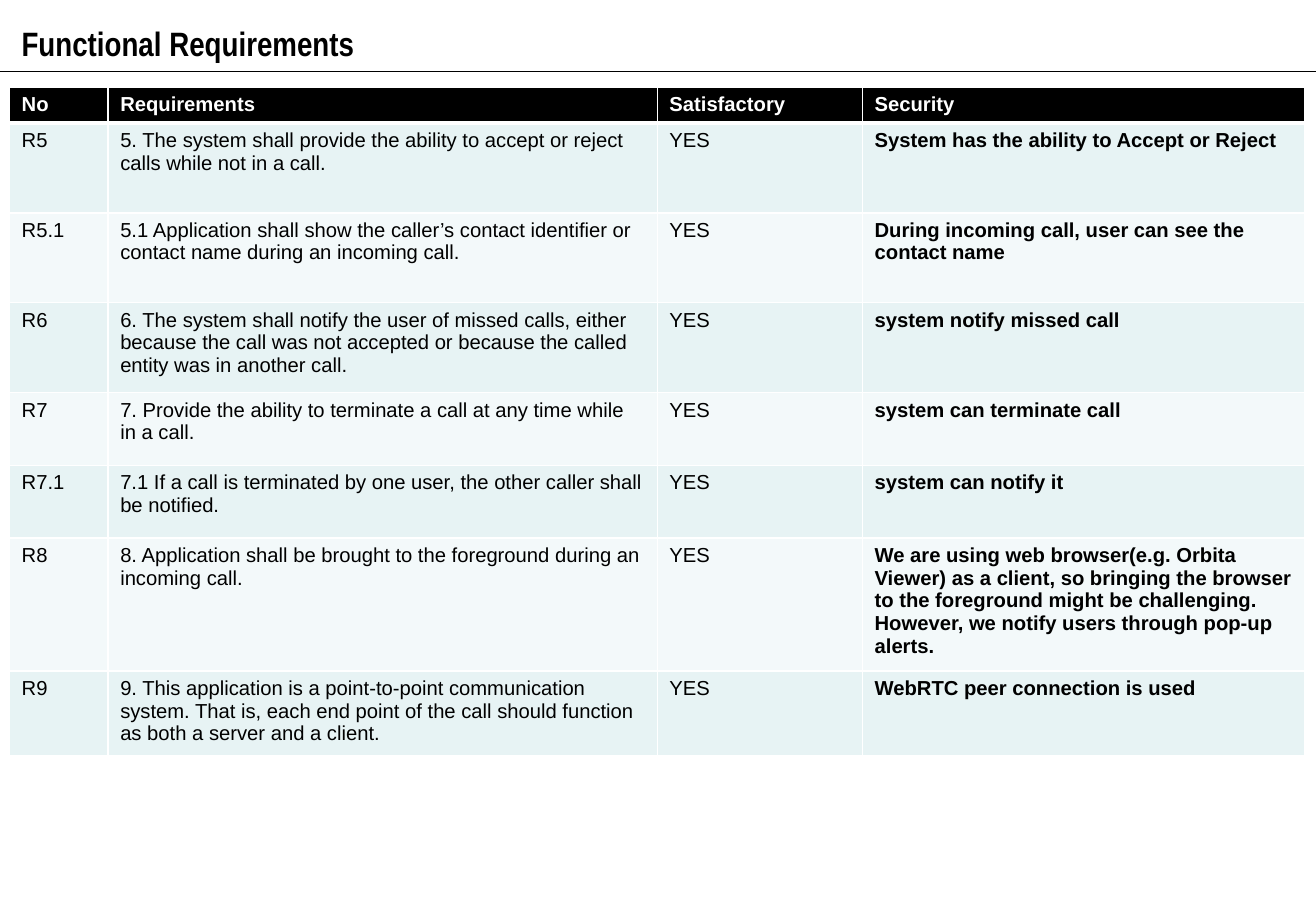
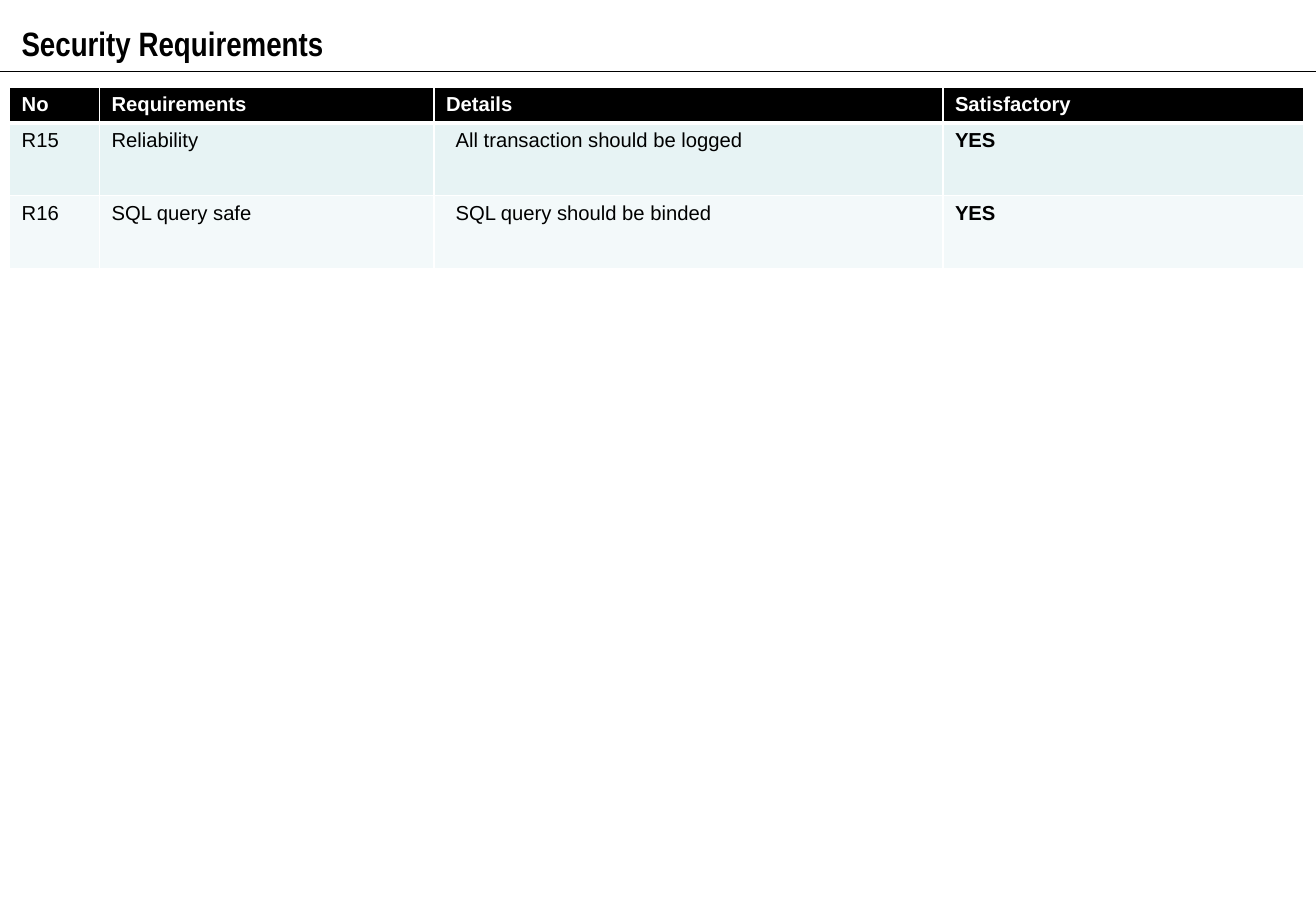
from lxml import etree
from pptx import Presentation
from pptx import util as u
from pptx.dml.color import RGBColor
from pptx.enum import shapes, text
from pptx.oxml import ns

BLACK = RGBColor(0x00, 0x00, 0x00)
WHITE = RGBColor(0xFF, 0xFF, 0xFF)
MINT = RGBColor(0xE7, 0xF3, 0xF4)
PALE = RGBColor(0xF3, 0xF9, 0xFA)

SLIDE_WIDTH, SLIDE_HEIGHT = u.Cm(27.51), u.Cm(19.05)
LEFT = u.Cm(0.2)
TITLE_ONLY = 5
HEADER_HEIGHT = 0.74

TITLE_FONT = dict(name="Arial Narrow", size=u.Pt(20), bold=True)
CELL_FONT = dict(name="Arial", size=u.Pt(12))
TITLE_FRAME = dict(
    margin_left=u.Cm(0.25), margin_right=u.Cm(0.25),
    margin_top=u.Cm(0.13), margin_bottom=u.Cm(0.13),
    vertical_anchor=text.MSO_ANCHOR.TOP, word_wrap=True,
    auto_size=text.MSO_AUTO_SIZE.NONE,
)


def apply(target, values):
    for name, value in values.items():
        setattr(target, name, value)


class Deck:
    """Holds the shared style and the slide being built."""

    def __init__(self):
        self.prs = Presentation()
        apply(self.prs, dict(slide_width=SLIDE_WIDTH, slide_height=SLIDE_HEIGHT))
        self.slide = None

    def new_slide(self, heading):
        self.slide = self.prs.slides.add_slide(self.prs.slide_layouts[TITLE_ONLY])
        self.rule()
        self.title(heading)

    def rule(self):
        y = u.Cm(1.5)
        rule = self.slide.shapes.add_connector(
            shapes.MSO_CONNECTOR.STRAIGHT, 0, y, SLIDE_WIDTH, y)
        rule.line.color.rgb = BLACK
        rule.line.width = u.Pt(0.75)
        etree.SubElement(rule._element.spPr, ns.qn("a:effectLst"))

    def title(self, heading):
        title = self.slide.shapes.title
        apply(title, dict(left=LEFT, top=u.Cm(0.18),
                          width=u.Cm(19.84), height=u.Cm(1.19)))
        apply(title.text_frame, TITLE_FRAME)
        paragraph = title.text_frame.paragraphs[0]
        apply(paragraph, dict(alignment=text.PP_ALIGN.LEFT, line_spacing=1.2))
        self.run(paragraph, heading, BLACK, TITLE_FONT)

    def run(self, paragraph, wording, color, font):
        run = paragraph.add_run()
        run.text = wording
        apply(run.font, font)
        run.font.color.rgb = color

    def borders(self, cell, top, bottom):
        properties = cell._tc.get_or_add_tcPr()
        for side, points in dict(L=1, R=1, T=top, B=bottom).items():
            edge = etree.SubElement(
                properties, ns.qn(f"a:ln{side}"), w=str(u.Pt(points)))
            fill = etree.SubElement(edge, ns.qn("a:solidFill"))
            etree.SubElement(fill, ns.qn("a:srgbClr"), val=str(WHITE))

    def cell(self, cell, wording, row, bold, indent):
        header = row == 0
        self.borders(cell, 3 if row == 1 else 1, 3 if header else 1)
        cell.fill.solid()
        cell.fill.fore_color.rgb = BLACK if header else (PALE, MINT)[row % 2]
        paragraph = cell.text_frame.paragraphs[0]
        if indent:
            paragraph._p.get_or_add_pPr().set("marL", str(u.Cm(indent)))
        self.run(paragraph, wording, WHITE if header else BLACK,
                 dict(CELL_FONT, bold=bold))

    def table(self, widths, heights, records, indents=None):
        """Lay out a header and its records; the last column is bold."""
        heights = [HEADER_HEIGHT, *heights]
        table = self.slide.shapes.add_table(
            len(records), len(widths), LEFT, u.Cm(1.83),
            u.Cm(sum(widths)), u.Cm(sum(heights))).table
        for column, width in zip(table.columns, widths):
            column.width = u.Cm(width)
        for r, (record, height) in enumerate(zip(records, heights)):
            table.rows[r].height = u.Cm(height)
            for c, wording in enumerate(record):
                bold = r == 0 or c == len(widths) - 1
                indent = (indents or {}).get(c, 0) if r else 0
                self.cell(table.cell(r, c), wording, r, bold, indent)


FUNCTIONAL = [
    ("No", "Requirements", "Satisfactory", "Security"),
    ("R5", "5. The system shall provide the ability to accept or reject calls "
     "while not in a call.", "YES", "System has the ability to Accept or Reject"),
    ("R5.1", "5.1 Application shall show the caller’s contact identifier or "
     "contact name during an incoming call.", "YES",
     "During incoming call, user can see the contact name"),
    ("R6", "6. The system shall notify the user of missed calls, either because "
     "the call was not accepted or because the called entity was in another "
     "call.", "YES", "system notify missed call"),
    ("R7", "7. Provide the ability to terminate a call at any time while in a "
     "call.", "YES", "system can terminate call"),
    ("R7.1", "7.1 If a call is terminated by one user, the other caller shall be "
     "notified.", "YES", "system can notify it"),
    ("R8", "8. Application shall be brought to the foreground during an incoming "
     "call.", "YES",
     "We are using web browser(e.g. Orbita Viewer) as a client, so bringing the "
     "browser to the foreground might be challenging. However, we notify users "
     "through pop-up alerts."),
    ("R9", "9. This application is a point-to-point communication system. That "
     "is, each end point of the call should function as both a server and a "
     "client.", "YES", "WebRTC peer connection is used"),
]

SECURITY = [
    ("No", "Requirements", "Details", "Satisfactory"),
    ("R15", "Reliability", "All transaction should be logged", "YES"),
    ("R16", "SQL query safe", "SQL query should be binded", "YES"),
]


def main():
    deck = Deck()

    # Functional requirements
    deck.new_slide("Functional Requirements")
    deck.table([2.06, 11.48, 4.29, 9.25],
               [1.88, 1.88, 1.88, 1.52, 1.52, 2.78, 1.78], FUNCTIONAL)

    # Security requirements
    deck.new_slide("Security Requirements")
    deck.table([1.88, 6.99, 10.64, 7.54], [1.52, 1.52], SECURITY, indents={2: 0.2})

    deck.prs.save("out.pptx")


if __name__ == "__main__":
    main()
